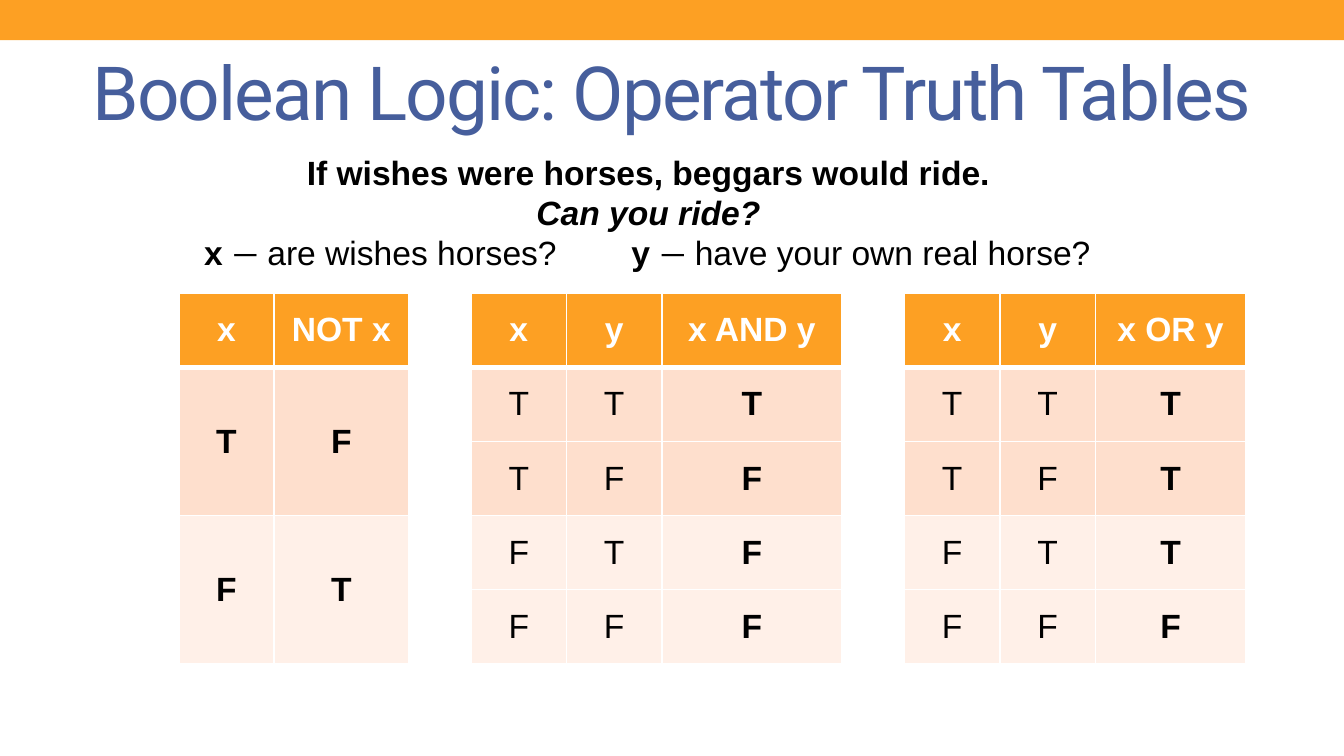
"""Build a slide of Boolean operator truth tables."""
from dataclasses import dataclass
from itertools import product
from typing import Callable

from lxml import etree
from pptx import Presentation
from pptx.dml.color import RGBColor
from pptx.enum import shapes, text
from pptx.oxml import ns
from pptx.util import Emu, Inches, Pt

ORANGE = RGBColor(0xFD, 0xA0, 0x23)
PEACH = RGBColor(0xFE, 0xDF, 0xCD)
CREAM = RGBColor(0xFF, 0xF0, 0xE8)
BLUE = RGBColor(0x46, 0x5E, 0x9C)
BLACK = RGBColor(0x00, 0x00, 0x00)
WHITE = RGBColor(0xFF, 0xFF, 0xFF)

WIDTH, HEIGHT = Inches(10), Inches(5.625)
COLS = 100
LEFT, TOP, GAP = 13.3, 21.8, 4.65
NARROW, ROW = 7.1, 5.52
THIN, THICK = 1, 3


@dataclass
class Truth:
    """Heads, last column width, row height and rows of one truth table."""
    heads: list[str]
    last: float
    tall: float
    rows: list[list[str]]


def grid(count: float) -> Emu:
    """Turn grid columns into a length."""
    return Emu(round(WIDTH * count / COLS))


def mark(value: bool) -> str:
    """Name a truth value by its letter."""
    return "T" if value else "F"


def pairs(name: str, last: float, rule: Callable[[bool, bool], bool]) -> Truth:
    """Work out the table of an operator on x and y."""
    rows = [[mark(x), mark(y), mark(rule(x, y))]
            for x, y in product((True, False), repeat=2)]
    return Truth(["x", "y", name], last, ROW, rows)


def say(para, words: str, *, font: str = "Arial", size: float = 18,
        color: RGBColor = BLACK, bold: bool = False, slant: bool = False,
        space: int = 0) -> None:
    """Add a run of text with its format."""
    run = para.add_run()
    run.text = words
    face = run.font
    face.name, face.size, face.bold, face.italic = font, Pt(size), bold, slant
    face.color.rgb = color
    if space:
        run._r.get_or_add_rPr().set("spc", str(space))


def frame(slide, left: float, top: float, wide: float, tall: float):
    """Add a wrapping text box and return its frame."""
    box = slide.shapes.add_textbox(*map(grid, (left, top, wide, tall)))
    box.text_frame.word_wrap = True
    return box.text_frame


def center(para):
    """Center a paragraph and return it."""
    para.alignment = text.PP_ALIGN.CENTER
    return para


def set_tabs(para, *stops: float) -> None:
    """Give a paragraph left tab stops."""
    tabs = etree.SubElement(para._p.get_or_add_pPr(), ns.qn("a:tabLst"))
    for stop in stops:
        etree.SubElement(tabs, ns.qn("a:tab"), pos=str(grid(stop)), algn="l")


def edge(cell, side: str, points: float) -> None:
    """Draw one white border of a cell."""
    line = etree.SubElement(cell._tc.get_or_add_tcPr(), ns.qn(f"a:ln{side}"),
                            w=str(Pt(points)))
    fill = etree.SubElement(line, ns.qn("a:solidFill"))
    etree.SubElement(fill, ns.qn("a:srgbClr"), val=str(WHITE))


def draw(slide, truth: Truth, left: float) -> float:
    """Draw a truth table and return its width."""
    wides = [NARROW] * (len(truth.heads) - 1) + [truth.last]
    talls = [ROW] + [truth.tall] * len(truth.rows)
    table = slide.shapes.add_table(
        len(talls), len(wides),
        *map(grid, (left, TOP, sum(wides), sum(talls)))).table
    table.horz_banding = False
    for col, wide in zip(table.columns, wides):
        col.width = grid(wide)
    for row, tall in zip(table.rows, talls):
        row.height = grid(tall)
    for i, line in enumerate([truth.heads] + truth.rows):
        head = i == 0
        shade = ORANGE if head else PEACH if line[0] == "T" else CREAM
        for j, words in enumerate(line):
            cell = table.cell(i, j)
            for side in "LRTB":
                bar = (i, side) in ((0, "B"), (1, "T"))
                edge(cell, side, THICK if bar else THIN)
            cell.fill.solid()
            cell.fill.fore_color.rgb = shade
            cell.vertical_anchor = text.MSO_ANCHOR.MIDDLE
            strong = head or len(line) == 2 or j == len(line) - 1
            say(center(cell.text_frame.paragraphs[0]), words, bold=strong,
                color=WHITE if head else BLACK)
    return sum(wides)


def main() -> None:
    """Build and save the slide."""
    deck = Presentation()
    deck.slide_width, deck.slide_height = WIDTH, HEIGHT
    slide = deck.slides.add_slide(deck.slide_layouts[6])

    band = slide.shapes.add_shape(shapes.MSO_SHAPE.RECTANGLE, 0, 0,
                                  WIDTH, grid(3))
    band.shadow.inherit = False
    band.fill.solid()
    band.fill.fore_color.rgb = ORANGE
    band.line.fill.background()

    title = frame(slide, 5, 2.7, 90, 8.1)
    title.vertical_anchor = text.MSO_ANCHOR.MIDDLE
    say(center(title.paragraphs[0]), "Boolean Logic: Operator Truth Tables",
        font="Roboto", size=40, color=BLUE, space=-100)

    left = LEFT
    for truth in (
        Truth(["x", "NOT x"], 10, 2 * ROW,
              [[mark(x), mark(not x)] for x in (True, False)]),
        pairs("x AND y", 13.4, lambda x, y: x and y),
        pairs("x OR y", 11.2, lambda x, y: x or y),
    ):
        left += draw(slide, truth, left) + GAP

    intro = frame(slide, 5, 10.8, 86.5, 10.1)
    say(center(intro.paragraphs[0]),
        "If wishes were horses, beggars would ride.", bold=True)
    say(center(intro.add_paragraph()), "Can you ride?", bold=True, slant=True)
    terms = intro.add_paragraph()
    terms.alignment = text.PP_ALIGN.LEFT
    set_tabs(terms, 9.2, 41)
    for name, sense in (("x", "are wishes horses?"),
                        ("y", "have your own real horse?")):
        say(terms, f"\t{name} ", bold=True)
        say(terms, "— ", font="Lato")
        say(terms, sense)

    deck.save("out.pptx")


if __name__ == "__main__":
    main()
